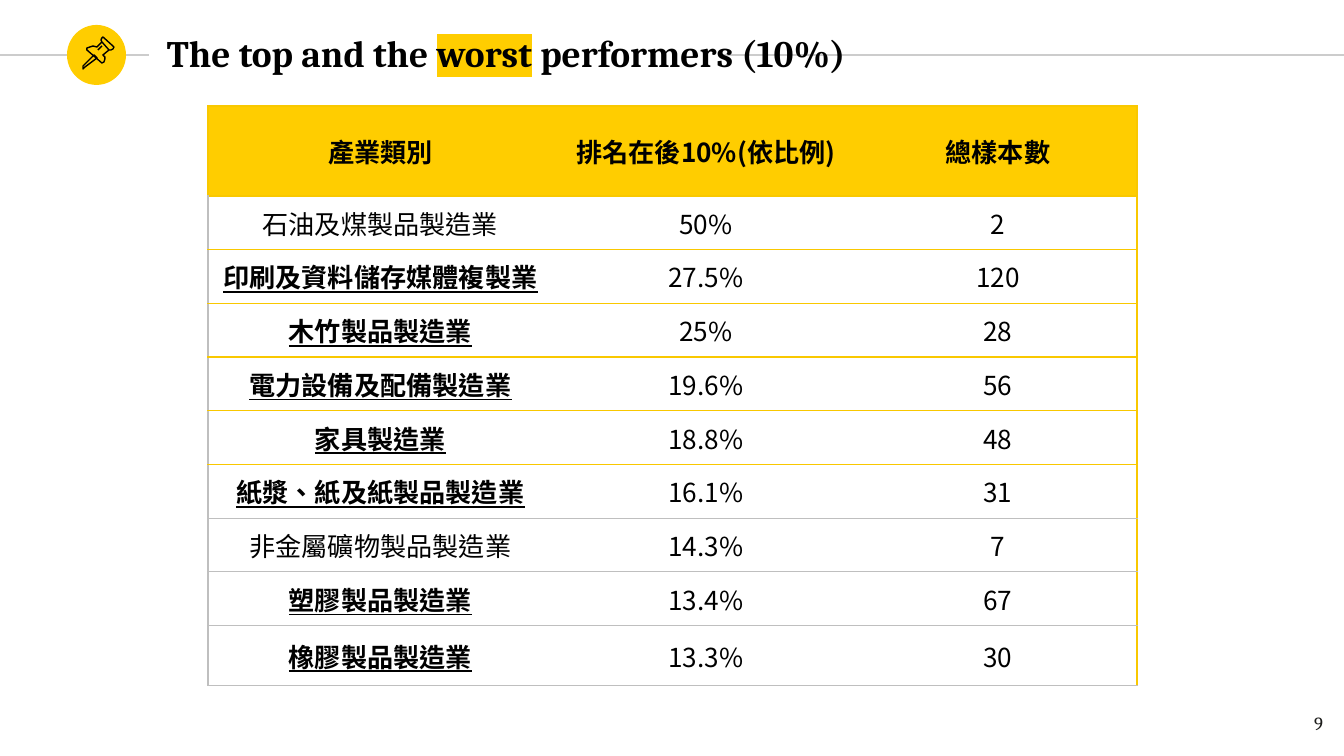
"""Build the slide that ranks the worst performing industries."""
from dataclasses import dataclass
from typing import NamedTuple

from pptx import Presentation
from pptx.dml.color import RGBColor
from pptx.enum.shapes import MSO_CONNECTOR, MSO_SHAPE
from pptx.enum.text import MSO_ANCHOR, PP_ALIGN
from pptx.oxml.ns import qn
from pptx.util import Pt
from lxml.etree import SubElement, Element

EMU_PER_PX = 914400 / 134.4


@dataclass(frozen=True)
class Theme:
    accent: str = "FFCD00"
    border: str = "F9C800"
    pale_border: str = "BFBFBF"
    rule: str = "CCCCCC"
    ink: str = "000000"
    page_ink: str = "1D1D1B"
    serif: str = "Cambria"
    sans: str = "Arial"
    cjk: str = "Noto Sans CJK TC"
    title_size: int = 20
    table_size: int = 14
    page_size: int = 10
    line_width: float = 0.75


THEME = Theme()


class Box(NamedTuple):
    left: int
    top: int
    width: int
    height: int


class Piece(NamedTuple):
    text: str
    highlighted: bool = False


class Industry(NamedTuple):
    name: str
    share: str
    samples: str
    marked: bool = True
    face: str = THEME.sans


class Stroke(NamedTuple):
    points: tuple[tuple[int, int], ...]
    closed: bool


HEADINGS = ("產業類別", "排名在後10%(依比例)", "總樣本數")
INDUSTRIES = (
    Industry("石油及煤製品製造業", "50%", "2", False, THEME.cjk),
    Industry("印刷及資料儲存媒體複製業", "27.5%", "120"),
    Industry("木竹製品製造業", "25%", "28"),
    Industry("電力設備及配備製造業", "19.6%", "56"),
    Industry("家具製造業", "18.8%", "48"),
    Industry("紙漿、紙及紙製品製造業", "16.1%", "31"),
    Industry("非金屬礦物製品製造業", "14.3%", "7", False),
    Industry("塑膠製品製造業", "13.4%", "67"),
    Industry("橡膠製品製造業", "13.3%", "30"),
)
TITLE = (Piece("The top and the "), Piece("worst", True), Piece(" performers (10%)"))
RULES = ((-54, 149), (720, 1361))
RULE_Y = 55
PIN = (
    Stroke(((94, 55), (83, 66), (83, 69), (85, 67), (97, 58)), True),
    Stroke(((102, 42), (109, 50), (111, 50), (113, 49), (114, 47), (103, 37),
            (102, 38), (101, 40)), True),
    Stroke(((102, 42), (97, 47), (93, 46), (90, 47), (87, 48), (87, 50), (102, 63),
            (104, 62), (105, 59), (105, 57), (103, 55), (109, 50)), False),
    Stroke(((98, 50), (102, 46)), False),
)
TABLE_BOX = Box(208, 106, 929, 580)
COLUMNS = (345, 306, 278)
HEADING_ROW = 90
LAST_ROW = 60
LAST_ACCENT_ROW = 5


def px(length: int) -> int:
    """Turn pixels into EMU."""
    return round(length * EMU_PER_PX)


def rgb(colour: str) -> RGBColor:
    """Turn a hex code into a colour."""
    return RGBColor.from_string(colour)


def style_run(run, face: str, size: int, colour: str = THEME.ink, bold: bool = False,
              underline: bool = False) -> None:
    """Give a run its font, colour and matching East Asian face."""
    formats = {"name": face, "size": Pt(size), "bold": bold, "underline": underline}
    for attribute, value in formats.items():
        setattr(run.font, attribute, value)
    run.font.color.rgb = rgb(colour)
    east_asian = Element(qn("a:ea"), typeface=THEME.cjk)
    run.font._element.find(qn("a:latin")).addnext(east_asian)


def highlight(run) -> None:
    """Mark a run with the accent colour."""
    marker = Element(qn("a:highlight"))
    SubElement(marker, qn("a:srgbClr"), val=THEME.accent)
    run.font._element.find(qn("a:solidFill")).addnext(marker)


def add_text(slide, box: Box, anchor: MSO_ANCHOR, alignment: PP_ALIGN):
    """Add a wrapping text box and return its paragraph."""
    frame = slide.shapes.add_textbox(*map(px, box)).text_frame
    formats = {"word_wrap": True, "vertical_anchor": anchor}
    formats |= {f"margin_{side}": px(13) for side in ("left", "right", "top", "bottom")}
    for attribute, value in formats.items():
        setattr(frame, attribute, value)
    frame.paragraphs[0].alignment = alignment
    return frame.paragraphs[0]


def draw_rule(slide, start: int, end: int) -> None:
    """Draw one piece of the line behind the title."""
    rule = slide.shapes.add_connector(
        MSO_CONNECTOR.STRAIGHT, px(start), px(RULE_Y), px(end), px(RULE_Y))
    rule.line.color.rgb = rgb(THEME.rule)
    rule.line.width = Pt(THEME.line_width)
    SubElement(rule._element.spPr, qn("a:effectLst"))


def draw_badge(slide) -> None:
    """Draw the round badge behind the pin."""
    badge = slide.shapes.add_shape(MSO_SHAPE.OVAL, *map(px, Box(67, 25, 59, 60)))
    badge.shadow.inherit = False
    badge.fill.solid()
    badge.fill.fore_color.rgb = rgb(THEME.accent)
    badge.line.fill.background()


def draw_pin(slide, strokes: tuple[Stroke, ...]) -> None:
    """Draw the outlined pin as one group."""
    pin = slide.shapes.add_group_shape()
    for stroke in strokes:
        builder = pin.shapes.build_freeform(*stroke.points[0], scale=EMU_PER_PX)
        builder.add_line_segments(stroke.points[1:], close=stroke.closed)
        outline = builder.convert_to_shape()
        outline.shadow.inherit = False
        outline.fill.background()
        outline.line.color.rgb = rgb(THEME.ink)
        outline.line.width = Pt(THEME.line_width)


def set_borders(cell, row: int, column: int) -> None:
    """Colour the cell edges and clear those between columns."""
    def level(edge: int) -> str:
        return THEME.border if edge <= LAST_ACCENT_ROW else THEME.pale_border

    outer_left = THEME.pale_border if row else THEME.border
    edges = {
        "a:lnL": None if column else outer_left,
        "a:lnR": THEME.border if column == len(COLUMNS) - 1 else None,
        "a:lnT": level(row - 1),
        "a:lnB": level(row),
    }
    properties = cell._tc.get_or_add_tcPr()
    for tag, colour in edges.items():
        edge = SubElement(properties, qn(tag), w=str(Pt(THEME.line_width)))
        if colour:
            SubElement(SubElement(edge, qn("a:solidFill")), qn("a:srgbClr"), val=colour)
        else:
            SubElement(edge, qn("a:noFill"))


def fill_cell(cell, text: str, face: str, bold: bool, underline: bool) -> None:
    """Write centred Traditional Chinese text in a cell."""
    cell.vertical_anchor = MSO_ANCHOR.MIDDLE
    paragraph = cell.text_frame.paragraphs[0]
    paragraph.alignment = PP_ALIGN.CENTER
    run = paragraph.add_run()
    run.text = text
    style_run(run, face, THEME.table_size, bold=bold, underline=underline)
    run.font._element.set("lang", "zh-TW")


def draw_table(slide, industries: tuple[Industry, ...]) -> None:
    """Draw the ranking with its heading row."""
    count = len(industries)
    ranking = slide.shapes.add_table(count + 1, len(COLUMNS), *map(px, TABLE_BOX)).table
    ranking.horz_banding = False
    for column, width in zip(ranking.columns, COLUMNS):
        column.width = px(width)
    for row in ranking.rows:
        row.height = px(TABLE_BOX.height - HEADING_ROW - LAST_ROW) // (count - 1)
    ranking.rows[0].height = px(HEADING_ROW)
    ranking.rows[count].height = px(LAST_ROW)
    for row, entry in enumerate((HEADINGS, *industries)):
        for column, text in enumerate(entry[:len(COLUMNS)]):
            cell = ranking.cell(row, column)
            set_borders(cell, row, column)
            named = row > 0 and column == 0
            marked = named and entry.marked
            fill_cell(cell, text, entry.face if named else THEME.cjk, row == 0 or marked, marked)
            if row:
                cell.fill.background()
            else:
                cell.fill.solid()
                cell.fill.fore_color.rgb = rgb(THEME.accent)


def main() -> None:
    """Build and save the slide."""
    deck = Presentation()
    deck.slide_width, deck.slide_height = px(1344), px(756)
    slide = deck.slides.add_slide(deck.slide_layouts[6])
    for start, end in RULES:
        draw_rule(slide, start, end)
    draw_badge(slide)
    title = add_text(slide, Box(154, 19, 896, 67), MSO_ANCHOR.MIDDLE, PP_ALIGN.LEFT)
    for piece in TITLE:
        run = title.add_run()
        run.text = piece.text
        style_run(run, THEME.serif, THEME.title_size, bold=True)
        if piece.highlighted:
            highlight(run)
    draw_pin(slide, PIN)
    page = add_text(slide, Box(1255, 701, 81, 55), MSO_ANCHOR.TOP, PP_ALIGN.RIGHT).add_run()
    page.text = "9"
    style_run(page, THEME.serif, THEME.page_size, THEME.page_ink)
    draw_table(slide, INDUSTRIES)
    deck.save("out.pptx")


if __name__ == "__main__":
    main()
